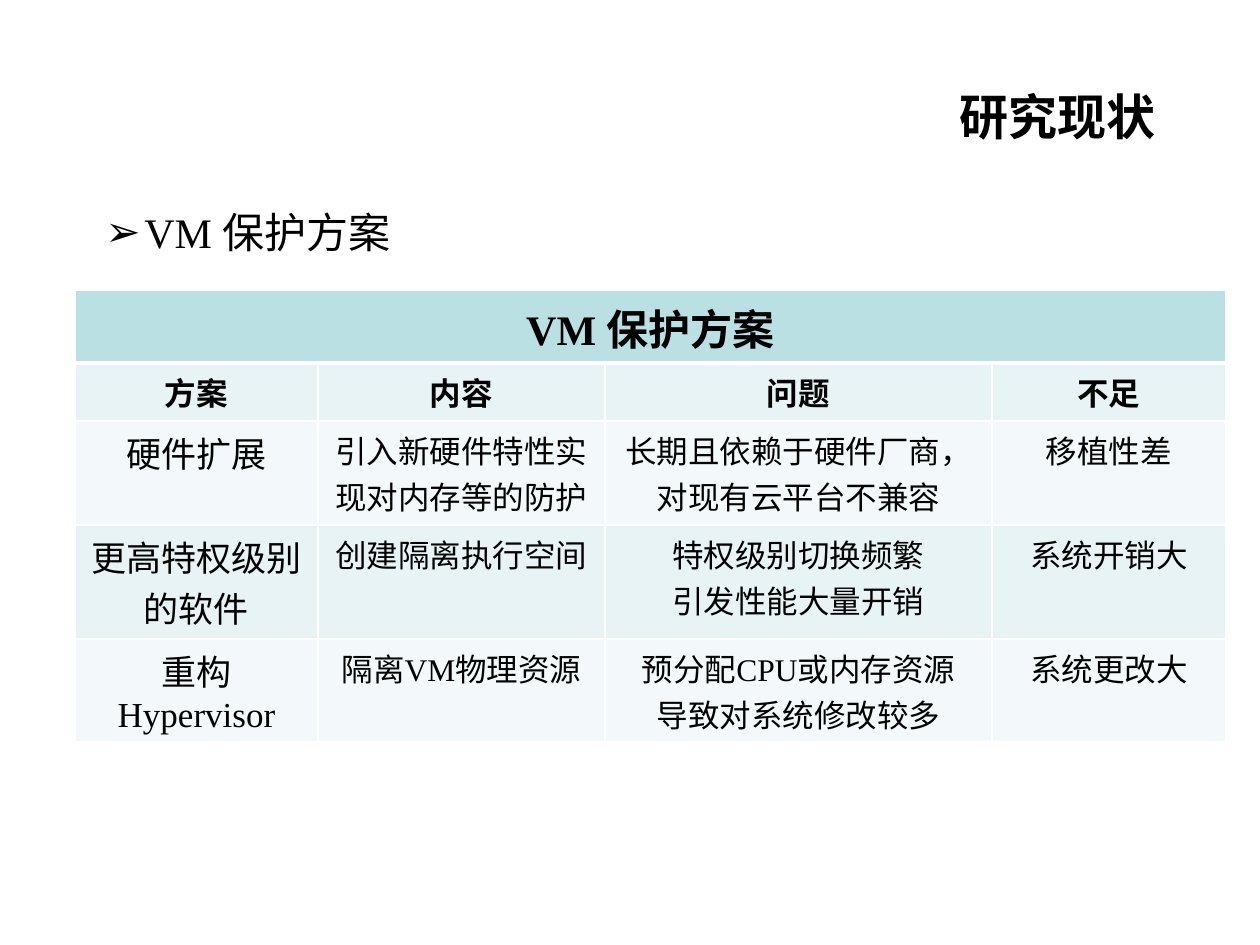
from dataclasses import dataclass

from lxml import etree
from pptx import Presentation
from pptx import util as u
from pptx.dml.color import RGBColor
from pptx.enum import text
from pptx.oxml import ns

EMU_PER_PX = 914400 // 126


@dataclass(frozen=True)
class Theme:
    """Colours, fonts and type sizes of the slide."""
    ink: str = "000000"
    rule: str = "FFFFFF"
    header: str = "BBE0E3"
    bands: tuple = ("E7F3F4", "F3F9FA")
    title_font: str = "Arial"
    body_font: str = "Times New Roman"
    title: int = 28
    heading: int = 24
    scheme: int = 20
    cell: int = 18


THEME = Theme()
HEADING = "VM 保护方案"
COLUMNS = [243, 287, 387, 234]
ROWS = [73, 58, 104, 114, 103]
TABLE = [
    [HEADING],
    ["方案", "内容", "问题", "不足"],
    ["硬件扩展", "引入新硬件特性实现对内存等的防护",
     "长期且依赖于硬件厂商，\n对现有云平台不兼容", "移植性差"],
    ["更高特权级别的软件", "创建隔离执行空间",
     "特权级别切换频繁\n引发性能大量开销", "系统开销大"],
    ["重构Hypervisor", "隔离VM物理资源",
     "预分配CPU或内存资源\n导致对系统修改较多", "系统更改大"],
]


def px(n):
    """Turn pixels into EMU."""
    return u.Emu(n * EMU_PER_PX)


def write(tf, content, size, font=THEME.body_font, bold=False,
          align=text.PP_ALIGN.CENTER):
    """Fill a text frame, one paragraph per line of content."""
    tf.text = content
    for p in tf.paragraphs:
        p.alignment = align
        for r in p.runs:
            formats = {"size": u.Pt(size), "name": font, "bold": bold}
            for name, value in formats.items():
                setattr(r.font, name, value)
            r.font.color.rgb = RGBColor.from_string(THEME.ink)


def add_title(slide, content):
    """Place and format the title placeholder."""
    sp = slide.shapes.title
    box = {"left": 95, "top": 71, "width": 1073, "height": 89}
    for name, value in box.items():
        setattr(sp, name, px(value))
    sp.text_frame.vertical_anchor = text.MSO_ANCHOR.MIDDLE
    write(sp.text_frame, content, THEME.title, THEME.title_font, True,
          text.PP_ALIGN.RIGHT)


def add_bullet(slide, content):
    """Add the body text with an arrow bullet."""
    tf = slide.shapes.add_textbox(px(93), px(175), px(1153), px(624)).text_frame
    tf.word_wrap = True
    write(tf, content, THEME.heading, align=text.PP_ALIGN.LEFT)
    p = tf.paragraphs[0]
    p.line_spacing = 1.5
    pPr = p._p.get_or_add_pPr()
    pPr.set("marL", str(px(39)))
    pPr.set("indent", str(-px(39)))
    etree.SubElement(pPr, ns.qn("a:buFont")).set("typeface", THEME.title_font)
    etree.SubElement(pPr, ns.qn("a:buChar")).set("char", "➢")


def set_borders(cell, widths):
    """Draw cell borders from a dict of side and width in points."""
    tcPr = cell._tc.get_or_add_tcPr()
    for side, width in widths.items():
        ln = etree.SubElement(tcPr, ns.qn(f"a:ln{side}"), w=str(u.Pt(width)))
        fill = etree.SubElement(ln, ns.qn("a:solidFill"))
        etree.SubElement(fill, ns.qn("a:srgbClr"), val=THEME.rule)


def add_scheme_table(slide):
    """Add the comparison table with its merged header."""
    table = slide.shapes.add_table(
        len(ROWS), len(COLUMNS), px(75), px(290),
        px(sum(COLUMNS)), px(sum(ROWS))).table
    for column, width in zip(table.columns, COLUMNS):
        column.width = px(width)
    for row, height in zip(table.rows, ROWS):
        row.height = px(height)
    table.cell(0, 0).merge(table.cell(0, len(COLUMNS) - 1))

    for i in range(len(ROWS)):
        color = THEME.bands[(i + 1) % 2] if i else THEME.header
        for j in range(len(COLUMNS)):
            cell = table.cell(i, j)
            set_borders(cell, {"L": 1, "R": 1, "T": 3 if i == 1 else 1,
                               "B": 3 if i == 0 else 1})
            cell.fill.solid()
            cell.fill.fore_color.rgb = RGBColor.from_string(color)
        for j, content in enumerate(TABLE[i]):
            size = THEME.cell
            if i == 0:
                size = THEME.heading
            elif i > 1 and j == 0:
                size = THEME.scheme
            write(table.cell(i, j).text_frame, content, size, bold=i < 2)


def main():
    """Build the slide and save it."""
    prs = Presentation()
    prs.slide_width, prs.slide_height = u.Inches(10), u.Inches(7.5)
    slide = prs.slides.add_slide(prs.slide_layouts[5])
    add_title(slide, "研究现状")
    add_bullet(slide, HEADING)
    add_scheme_table(slide)
    prs.save("out.pptx")


main()
